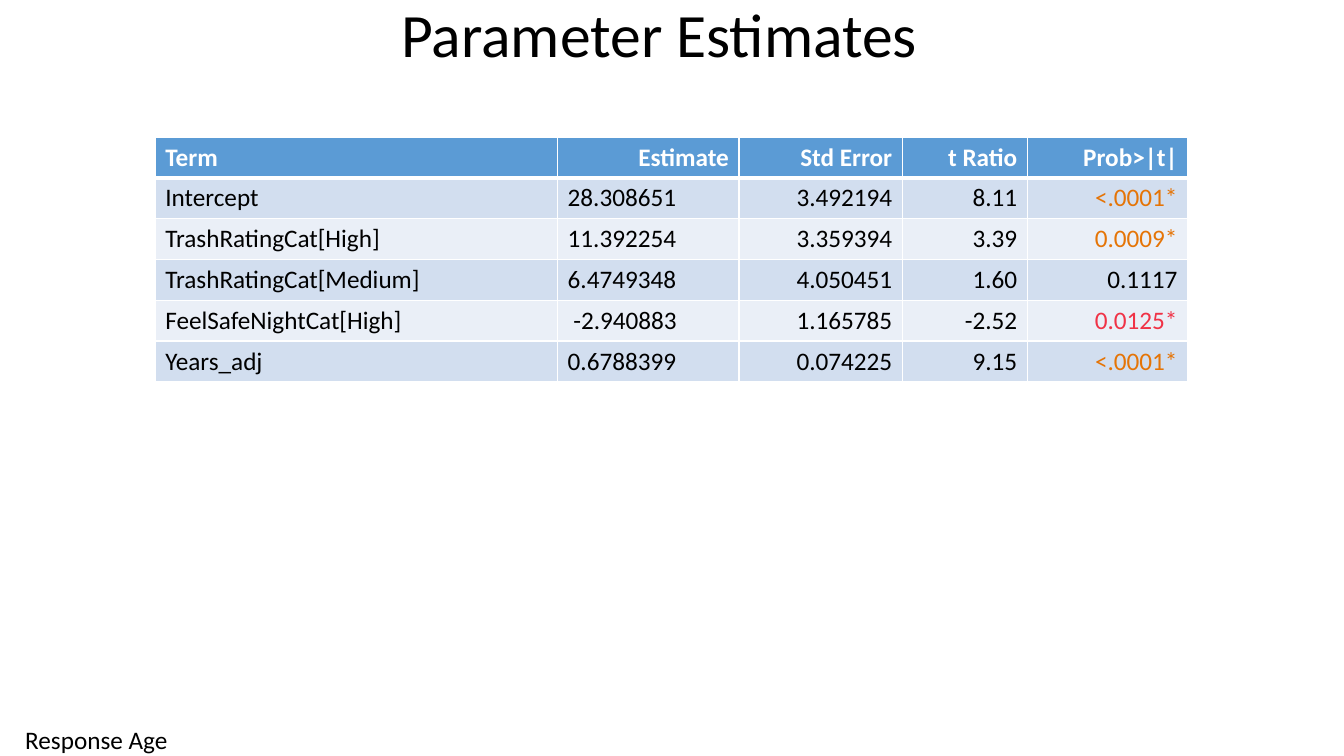
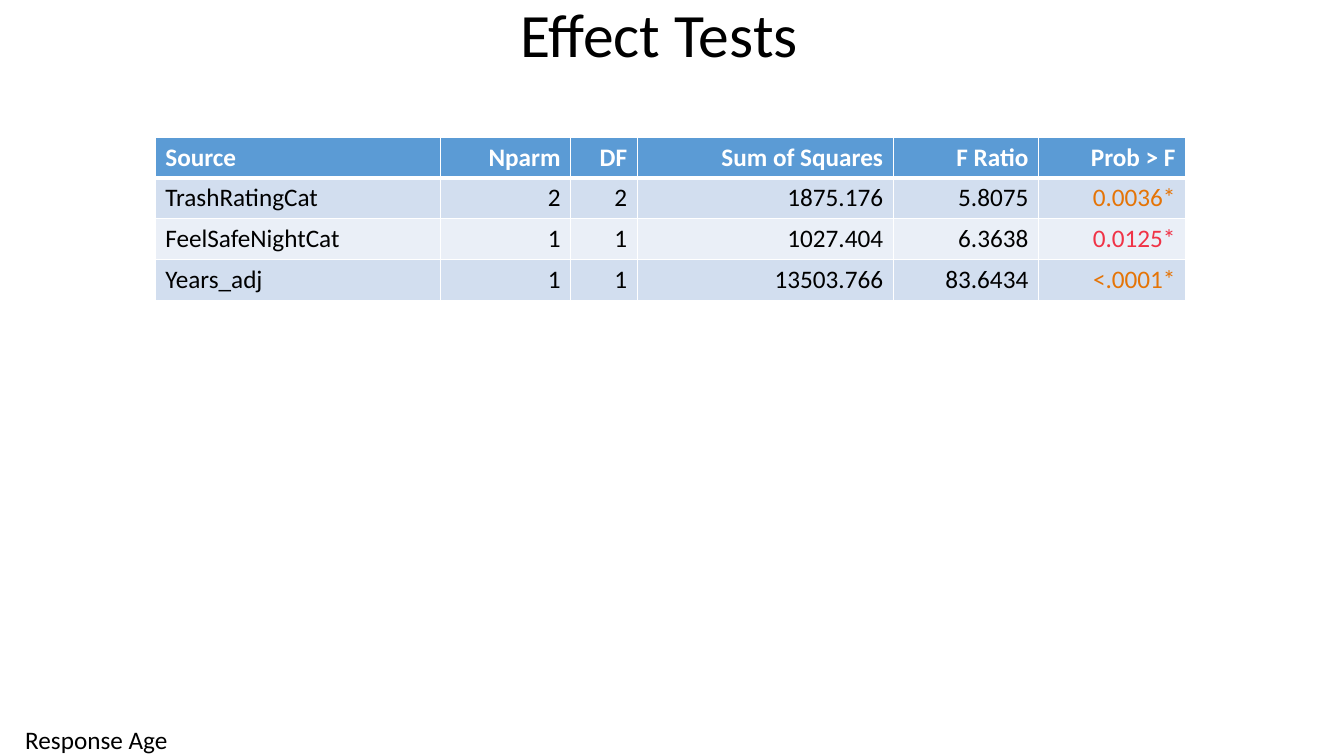
from dataclasses import dataclass

from lxml import etree
from pptx import Presentation
from pptx.dml.color import RGBColor
from pptx.enum.text import MSO_ANCHOR, MSO_AUTO_SIZE, PP_ALIGN
from pptx.oxml.ns import qn
from pptx.util import Inches, Pt

LEFT, CENTER, RIGHT = PP_ALIGN.LEFT, PP_ALIGN.CENTER, PP_ALIGN.RIGHT
MIDDLE = MSO_ANCHOR.MIDDLE
NO_FIT, GROW = MSO_AUTO_SIZE.NONE, MSO_AUTO_SIZE.SHAPE_TO_FIT_TEXT
TITLE_ONLY = 5

FOOTER = "Response Age"
# "left" lists the columns whose body cells are left-aligned.
SLIDES = [
    {
        "title": "Parameter Estimates",
        "widths": (3.99, 1.8, 1.62, 1.24, 1.59),
        "left": (0, 1),
        "rows": [
            ("Term", "Estimate", "Std Error", "t Ratio", "Prob>|t|"),
            ("Intercept", "28.308651", "3.492194", "8.11", "<.0001*"),
            ("TrashRatingCat[High]", "11.392254", "3.359394", "3.39", "0.0009*"),
            ("TrashRatingCat[Medium]", "6.4749348", "4.050451", "1.60", "0.1117"),
            ("FeelSafeNightCat[High]", " -2.940883", "1.165785", "-2.52", "0.0125*"),
            ("Years_adj", "0.6788399", "0.074225", "9.15", "<.0001*"),
        ],
    },
    {
        "title": "Effect Tests",
        "widths": (2.83, 1.29, 0.66, 2.54, 1.44, 1.46),
        "left": (0,),
        "rows": [
            ("Source", "Nparm", "DF", "Sum of Squares", "F Ratio", "Prob > F"),
            ("TrashRatingCat", "2", "2", "1875.176", "5.8075", "0.0036*"),
            ("FeelSafeNightCat", "1", "1", "1027.404", "6.3638", "0.0125*"),
            ("Years_adj", "1", "1", "13503.766", "83.6434", "<.0001*"),
        ],
    },
]


@dataclass(frozen=True)
class Theme:
    """Colours, type and line sizes shared by all slides."""
    font: str = "Calibri"
    title_size: int = 44
    text_size: int = 18
    text: str = "000000"
    header_text: str = "FFFFFF"
    header_fill: str = "5B9BD5"
    bands: tuple = ("D2DEEF", "EAEFF7")
    strong: str = "E57406"
    weak: str = "F03246"
    rule: str = "FFFFFF"
    thin: int = 1
    thick: int = 3


THEME = Theme()
SLIDE_W, SLIDE_H = 13.33, 7.5
TITLE_BOX = (0, 0, 13.08, 0.75)
FOOTER_BOX = (0.25, 7.19, 1.42, 0.31)
TABLE_LEFT, TABLE_TOP, ROW_H = 1.54, 1.36, 0.405


def set_all(obj, values):
    """Set every attribute named in a dict."""
    for name, value in values.items():
        setattr(obj, name, value)


def box(values):
    """Turn lengths in inches into slide lengths."""
    return [Inches(v) for v in values]


def write(tf, text, size=THEME.text_size, color=THEME.text, bold=False, align=LEFT):
    """Write one formatted paragraph."""
    p = tf.paragraphs[0]
    p.alignment = align
    r = p.add_run()
    r.text = text
    set_all(r.font, {"name": THEME.font, "size": Pt(size), "bold": bold})
    r.font.color.rgb = RGBColor.from_string(color)
    return p


def add_title(s, text):
    """Place and fill the title placeholder."""
    sp = s.shapes.title
    set_all(sp, dict(zip(("left", "top", "width", "height"), box(TITLE_BOX))))
    set_all(sp.text_frame, {"auto_size": NO_FIT, "vertical_anchor": MIDDLE})
    write(sp.text_frame, text, THEME.title_size, align=CENTER).line_spacing = 0.9


def add_footer(s):
    """Add the response label at the bottom left."""
    tf = s.shapes.add_textbox(*box(FOOTER_BOX)).text_frame
    set_all(tf, {"margin_left": 0, "margin_top": 0, "margin_right": 0,
                 "margin_bottom": 0, "word_wrap": False, "auto_size": GROW})
    write(tf, FOOTER)


def add_borders(cell, row):
    """Rule the cell, with a thick line below the header."""
    tc_pr = cell._tc.get_or_add_tcPr()
    thick_side = {0: "B", 1: "T"}.get(row)
    for side in "LRTB":
        width = THEME.thick if side == thick_side else THEME.thin
        ln = etree.SubElement(tc_pr, qn(f"a:ln{side}"), w=str(Pt(width)))
        fill = etree.SubElement(ln, qn("a:solidFill"))
        etree.SubElement(fill, qn("a:srgbClr"), val=THEME.rule)


def value_color(text):
    """Colour starred probabilities by their significance."""
    if not text.endswith("*"):
        return THEME.text
    return THEME.strong if float(text.strip("<*")) < 0.01 else THEME.weak


def add_results(s, rows, widths, left):
    """Add the banded table of results."""
    frame = s.shapes.add_table(len(rows), len(widths), *box(
        (TABLE_LEFT, TABLE_TOP, sum(widths), ROW_H * len(rows))))
    table = frame.table
    for column, width in zip(table.columns, widths):
        column.width = Inches(width)
    for i, row in enumerate(rows):
        header = i == 0
        fill = THEME.header_fill if header else THEME.bands[(i - 1) % 2]
        for j, text in enumerate(row):
            cell = table.cell(i, j)
            add_borders(cell, i)
            cell.fill.solid()
            cell.fill.fore_color.rgb = RGBColor.from_string(fill)
            is_left = j == 0 or (not header and j in left)
            write(cell.text_frame, text, bold=header,
                  color=THEME.header_text if header else value_color(text),
                  align=LEFT if is_left else RIGHT)


def build():
    """Build and save the presentation."""
    prs = Presentation()
    set_all(prs, {"slide_width": Inches(SLIDE_W), "slide_height": Inches(SLIDE_H)})
    for content in SLIDES:
        s = prs.slides.add_slide(prs.slide_layouts[TITLE_ONLY])
        add_footer(s)
        add_title(s, content["title"])
        add_results(s, content["rows"], content["widths"], content["left"])
    prs.save("out.pptx")


build()
